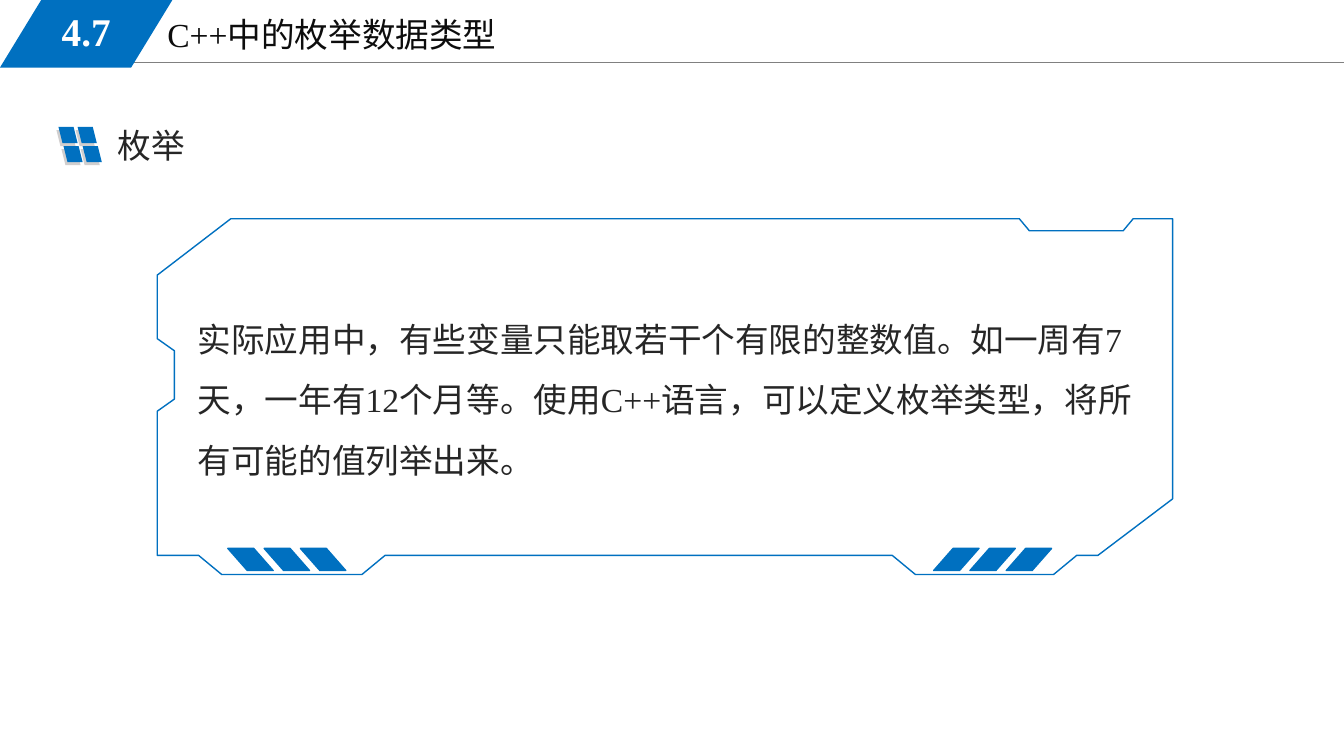
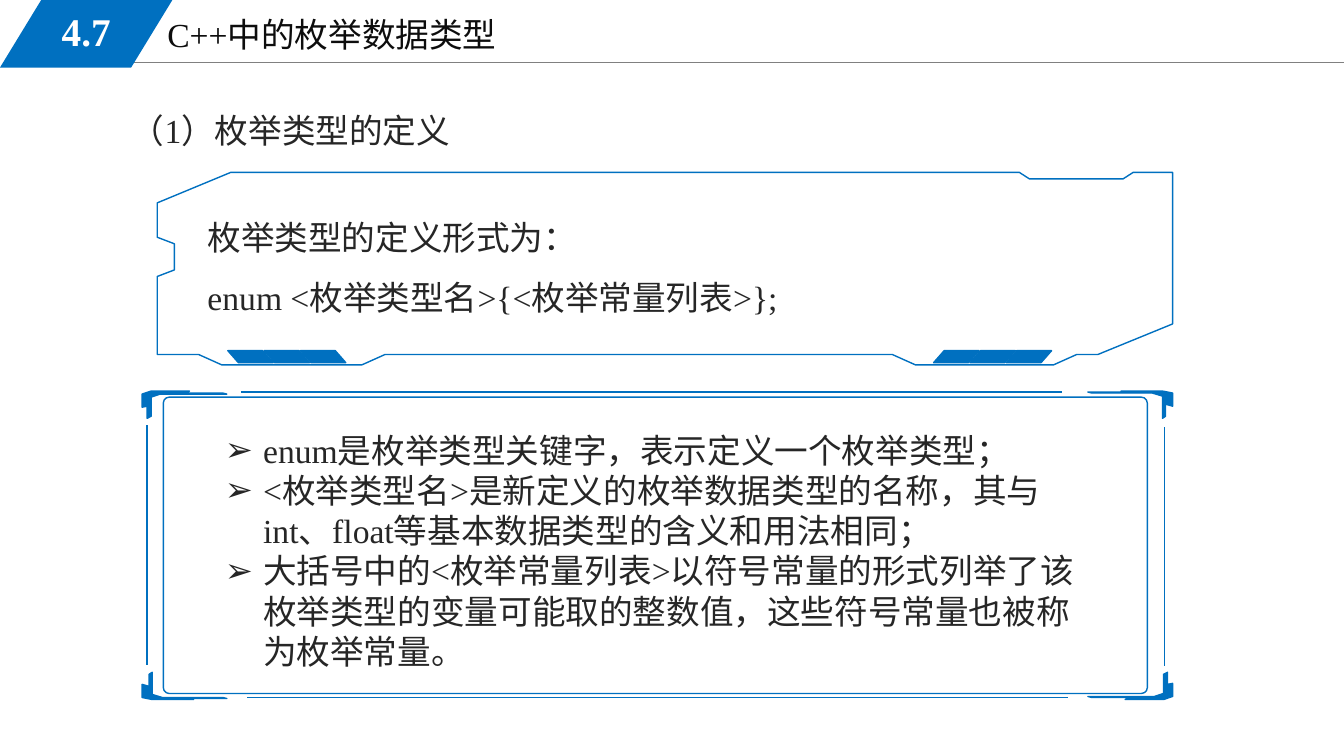
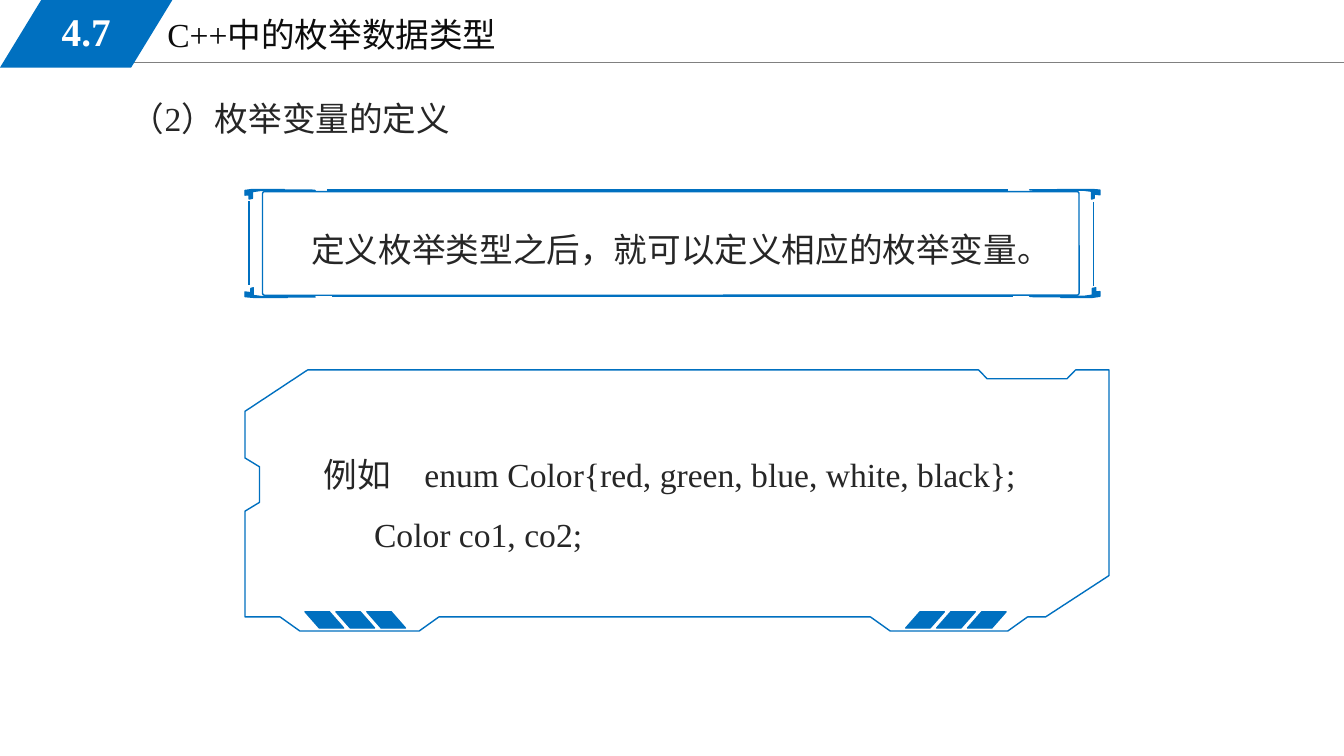
from lxml import etree
from pptx import Presentation
from pptx import util as u
from pptx.dml.color import RGBColor
from pptx.enum import shapes, text
from pptx.oxml.ns import qn

PX = 9144
COLORS = {"blue": "0070C0", "grey": "D0CECE", "rule": "808080",
          "title": "0D0D0D", "ink": "262626", "white": "FFFFFF"}
SERIF, SANS = "Times New Roman", "Noto Sans CJK SC"

PANEL_GRID = (1007, 353)
PANEL_OUTLINE = [
    (752, 353), (889, 353), (912, 334), (933, 334), (1007, 278), (1007, 0),
    (968, 0), (958, 12), (865, 12), (855, 0), (73, 0), (0, 56), (0, 119),
    (17, 131), (17, 179), (0, 191), (0, 334), (41, 334), (64, 353),
    (203, 353), (226, 334), (729, 334)]

BRACKET_GRID = (1022, 306)
BRACKET_CORNERS = [
    [(1013, 306), (975, 306), (980, 304), (942, 304), (938, 303), (1004, 303),
     (1013, 300), (1013, 281), (1017, 279), (1017, 291), (1022, 290), (1022, 303)],
    [(1022, 2), (1022, 15), (1015, 13), (1015, 25), (1012, 27), (1012, 5),
     (1002, 2), (942, 2), (938, 1), (976, 1), (971, 0), (1012, 0)]]
BRACKET_EDGES = [(98, 1, 912, 1), (104, 304, 918, 304),
                 (5, 34, 5, 272), (1014, 36, 1014, 273)]


def rgb(color):
    """Return the palette colour as an RGBColor."""
    return RGBColor.from_string(COLORS[color])


def fit(box, grid, x, y):
    """Map a grid point into the box, in px."""
    left, top, width, height = box
    return left + x * width / grid[0], top + y * height / grid[1]


class Deck:
    """The shared style and the slide being built."""

    def __init__(self):
        """Start an empty widescreen deck."""
        self.prs = Presentation()
        self.prs.slide_width = u.Emu(1333 * PX)
        self.prs.slide_height = u.Emu(750 * PX)
        self.slide = None

    def emu(self, *lengths):
        """Turn px lengths into EMU."""
        return [u.Emu(round(length * PX)) for length in lengths]

    def paint(self, shape, fill=None, line=None):
        """Set fill and outline, without a shadow."""
        shape.shadow.inherit = False
        if fill:
            shape.fill.solid()
            shape.fill.fore_color.rgb = rgb(fill)
        else:
            shape.fill.background()
        if line:
            shape.line.color.rgb = rgb(line)
            shape.line.width = u.Pt(1)
        else:
            shape.line.fill.background()

    def preset(self, kind, box, fill=None, line=None, adjust=None, mirror=False):
        """Draw a preset shape, mirrored left to right if asked."""
        shape = self.slide.shapes.add_shape(kind, *self.emu(*box))
        if adjust is not None:
            shape.adjustments[0] = adjust
        if mirror:
            shape._element.spPr.get_or_add_xfrm().set("flipH", "1")
        self.paint(shape, fill, line)

    def outline(self, points, grid, box, fill=None):
        """Draw a closed outline given on a grid stretched over the box."""
        left, top, width, height = box
        scale = (width * PX / grid[0], height * PX / grid[1])
        builder = self.slide.shapes.build_freeform(*points[0], scale=scale)
        builder.add_line_segments(points[1:], close=True)
        self.paint(builder.convert_to_shape(*self.emu(left, top)), fill, "blue")

    def line(self, x1, y1, x2, y2, color="blue", width=1):
        """Draw a straight line."""
        rule = self.slide.shapes.add_connector(
            shapes.MSO_CONNECTOR.STRAIGHT, *self.emu(x1, y1, x2, y2))
        rule.line.color.rgb = rgb(color)
        rule.line.width = u.Pt(width)
        etree.SubElement(rule._element.spPr, qn("a:effectLst"))

    def typeset(self, holder, box, lines, color="ink", size=24, font=SERIF, bold=False,
                align=text.PP_ALIGN.LEFT, anchor=text.MSO_ANCHOR.TOP, spacing=1, bullet=None):
        """Place a text holder and fill it with paragraphs."""
        holder.left, holder.top, holder.width, holder.height = self.emu(*box)
        frame = holder.text_frame
        frame.word_wrap = True
        frame.auto_size = text.MSO_AUTO_SIZE.NONE
        frame.vertical_anchor = anchor
        frame.text = "\n".join(lines)
        for paragraph in frame.paragraphs:
            self.bullet(paragraph, bullet, color)
            paragraph.alignment = align
            paragraph.line_spacing = spacing
            paragraph.space_before = u.Pt(0)
            paragraph.font.name = font
            paragraph.font.size = u.Pt(size)
            paragraph.font.bold = bold
            paragraph.font.color.rgb = rgb(color)

    def bullet(self, paragraph, char, color):
        """Give a paragraph a hanging bullet, or none."""
        props = paragraph._p.get_or_add_pPr()
        indent = 38 * PX if char else 0
        props.set("marL", str(indent))
        props.set("indent", str(-indent))
        if char:
            tint = etree.SubElement(props, qn("a:buClr"))
            etree.SubElement(tint, qn("a:srgbClr"), val=COLORS[color])
            etree.SubElement(props, qn("a:buChar"), char=char)
        else:
            etree.SubElement(props, qn("a:buNone"))

    def label(self, box, *lines, **style):
        """Add a text box."""
        self.typeset(self.slide.shapes.add_textbox(0, 0, 0, 0), box, lines, **style)

    def body(self, box, *lines, **style):
        """Fill the body placeholder."""
        self.typeset(self.slide.placeholders[1], box, lines, **style)

    def new_slide(self, section, title):
        """Add a slide with the shared header."""
        self.slide = self.prs.slides.add_slide(self.prs.slide_layouts[1])
        self.line(113, 62, 1333, 62, "rule", 0.75)
        self.typeset(self.slide.shapes.title, (156, 9, 567, 51), [title], color="title")
        self.preset(shapes.MSO_SHAPE.PARALLELOGRAM, (0, 0, 171, 67), "blue", adjust=0.61)
        self.label((25, 2, 121, 58), section, color="white", size=28, bold=True,
                   align=text.PP_ALIGN.CENTER, anchor=text.MSO_ANCHOR.MIDDLE)

    def window_icon(self, left, top):
        """Draw four slanted panes over their grey shade."""
        for color, dx, dy in (("grey", -2, 3), ("blue", 0, 0)):
            for row in range(2):
                for column in range(2):
                    pane = (left + dx + 19 * column + 5 * row, top + dy + 19 * row, 19, 16)
                    self.preset(shapes.MSO_SHAPE.PARALLELOGRAM, pane, color, mirror=True)

    def panel(self, *box):
        """Draw the notched panel with two groups of stripes."""
        self.outline(PANEL_OUTLINE, PANEL_GRID, box)
        width, height = 45 * box[2] / PANEL_GRID[0], 22 * box[3] / PANEL_GRID[1]
        for start, mirror in ((770, False), (70, True)):
            for step in range(3):
                x, y = fit(box, PANEL_GRID, start + 36 * step, 327)
                self.preset(shapes.MSO_SHAPE.PARALLELOGRAM, (x, y, width, height),
                            "blue", "blue", 0.88, mirror)

    def bracket_frame(self, *box):
        """Draw the rounded frame with bracket corners and edge lines."""
        grid_w, grid_h = BRACKET_GRID
        for corner in BRACKET_CORNERS:
            half_turn = [(grid_w - x, grid_h - y) for x, y in corner]
            for points in (corner, half_turn):
                self.outline(points, BRACKET_GRID, box, "blue")
        x, y = fit(box, BRACKET_GRID, 21, 6)
        right, bottom = fit(box, BRACKET_GRID, 997, 300)
        self.preset(shapes.MSO_SHAPE.ROUNDED_RECTANGLE, (x, y, right - x, bottom - y),
                    line="blue", adjust=0.02)
        for x1, y1, x2, y2 in BRACKET_EDGES:
            self.line(*fit(box, BRACKET_GRID, x1, y1), *fit(box, BRACKET_GRID, x2, y2))


def main():
    """Build the three slides."""
    deck = Deck()
    header = ("4.7", "C++中的枚举数据类型")

    deck.new_slide(*header)
    deck.window_icon(58, 126)
    deck.label((107, 119, 165, 50), "枚举", font=SANS)
    deck.panel(156, 217, 1007, 353)
    deck.body((186, 291, 967, 192),
              "实际应用中，有些变量只能取若干个有限的整数值。如一周有7天，一年有12个月等。"
              "使用C++语言，可以定义枚举类型，将所有可能的值列举出来。", spacing=1.5)

    deck.new_slide(*header)
    deck.label((120, 104, 539, 50), "（1）枚举类型的定义")
    deck.panel(156, 171, 1007, 191)
    deck.label((196, 190, 967, 185), "枚举类型的定义形式为：",
               "enum <枚举类型名>{<枚举常量列表>};", spacing=1.5)
    deck.bracket_frame(141, 388, 1022, 306)
    deck.body((213, 421, 879, 252),
              "enum是枚举类型关键字，表示定义一个枚举类型；",
              "<枚举类型名>是新定义的枚举数据类型的名称，其与int、float等基本数据类型的含义和用法相同；",
              "大括号中的<枚举常量列表>以符号常量的形式列举了该枚举类型的变量可能取的整数值，"
              "这些符号常量也被称为枚举常量。", bullet="➢")

    deck.new_slide(*header)
    deck.label((120, 92, 539, 50), "（2）枚举变量的定义")
    deck.bracket_frame(243, 188, 848, 107)
    deck.label((299, 222, 757, 50), "定义枚举类型之后，就可以定义相应的枚举变量。")
    deck.panel(243, 367, 857, 259)
    deck.body((311, 425, 967, 124),
              "例如\tenum Color{red, green, blue, white, black};",
              "\tColor co1, co2;", spacing=1.5)

    deck.prs.save("out.pptx")


if __name__ == "__main__":
    main()
